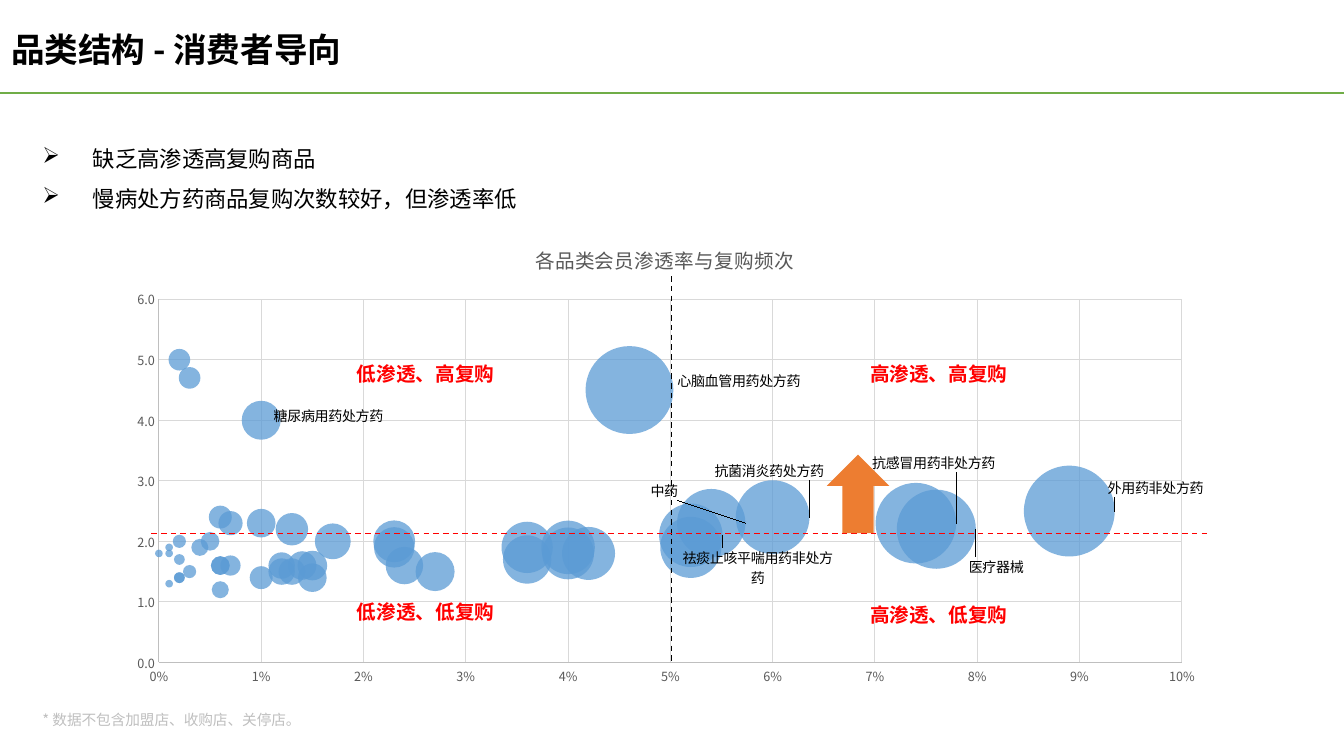
from dataclasses import dataclass
from typing import Any, NamedTuple

from lxml import etree
from pptx import Presentation
from pptx import util as u
from pptx.chart import data as chart_data
from pptx.chart import datalabel
from pptx.dml.color import RGBColor
from pptx.enum import chart as ch, dml, shapes, text
from pptx.oxml import ns


@dataclass(frozen=True)
class Theme:
    font: str = "Noto Sans CJK SC"
    black: str = "000000"
    green: str = "70AD47"
    red: str = "FF0000"
    orange: str = "ED7D31"
    blue: str = "5B9BD5"
    axis_text: str = "595959"
    axis_line: str = "BFBFBF"
    grid: str = "D9D9D9"
    title: float = 24
    body: float = 16
    heading: float = 14
    note: float = 10.5
    label: float = 10
    tick: float = 9


class Box(NamedTuple):
    left: float
    top: float
    width: float
    height: float


class Caption(NamedTuple):
    lines: list[str]
    box: Box
    size: float
    color: str
    bold: bool = False
    wrap: bool = False
    spacing: float = 1.0
    bullet: str = ""


class Rule(NamedTuple):
    start: tuple[float, float]
    end: tuple[float, float]
    color: str
    width: float
    dashed: bool = False


class Callout(NamedTuple):
    point: int
    name: str
    dx: float  # shift as a share of the chart size
    dy: float


THEME = Theme()

# Per category: penetration in per mille, repurchases, members in 100,000s
PENETRATION = [12, 54, 15, 40, 42, 14, 6, 0, 6, 0, 76, 36, 89, 6, 15, 46, 0, 6, 74,
               2, 10, 60, 0, 24, 7, 3, 10, 1, 3, 0, 27, 12, 52, 2, 0, 1, 2, 13, 52,
               2, 0, 10, 0, 4, 36, 7, 1, 23, 40, 0, 2, 5, 23, 17, 13]
REPURCHASES = [1.5, 2.3, 1.4, 1.8, 1.8, 1.6, 1.2, 1.1, 2.4, 1.5, 2.2, 1.7, 2.5, 1.6,
               1.6, 4.5, 1.8, 1.6, 2.3, 1.7, 1.4, 2.4, 1.2, 1.6, 1.6, 1.5, 2.3, 1.3,
               4.7, 1.2, 1.5, 1.6, 1.9, 2, 2.5, 1.8, 1.4, 2.2, 2.1, 5, 2.2, 4, 2.1,
               1.9, 1.9, 2.3, 1.9, 2, 1.9, 1.3, 1.4, 2, 1.9, 2, 1.5]
MEMBERS = [12, 80, 14, 46, 48, 14, 5, 0, 9, 0, 107, 40, 141, 6, 15, 132, 1, 6, 111,
           2, 9, 93, 0, 24, 7, 3, 14, 1, 8, 0, 26, 12, 64, 3, 0, 1, 2, 18, 69,
           8, 0, 26, 0, 5, 45, 10, 1, 30, 49, 0, 2, 6, 28, 22, 12]

CALLOUTS = [
    Callout(1, "中药", -0.09, -0.07),
    Callout(10, "医疗器械", -0.01, 0.08),
    Callout(12, "外用药非处方药", -0.01, -0.05),
    Callout(15, "心脑血管用药处方药", 0, -0.02),
    Callout(18, "抗感冒用药非处方药", -0.08, -0.13),
    Callout(21, "抗菌消炎药处方药", -0.09, -0.1),
    Callout(38, "祛痰止咳平喘用药非处方药", -0.04, 0.07),
    Callout(41, "糖尿病用药处方药", -0.01, -0.01),
]

CAPTIONS = [
    Caption(["品类结构 - 消费者导向"], Box(0.11, 0.33, 6.29, 0.36),
            THEME.title, THEME.black, bold=True, wrap=True, spacing=0.9),
    Caption(["缺乏高渗透高复购商品", "慢病处方药商品复购次数较好，但渗透率低"],
            Box(0.42, 1.3, 12.47, 0.81), THEME.body, THEME.black,
            wrap=True, spacing=1.5, bullet="➢"),
    Caption(["* 数据不包含加盟店、收购店、关停店。"], Box(0.42, 7.07, 2.61, 0.16),
            THEME.note, THEME.axis_line, spacing=0.9),
]
QUADRANTS = [("低渗透、高复购", 3.54, 3.59), ("高渗透、高复购", 8.63, 3.59),
             ("低渗透、低复购", 3.54, 5.95), ("高渗透、低复购", 8.63, 5.98)]
HEADER_RULE = Rule((0, 0.92), (13.33, 0.92), THEME.green, 1.5)
THRESHOLDS = [Rule((6.66, 2.74), (6.66, 6.56), THEME.black, 1, True),
              Rule((1.5, 5.29), (11.97, 5.29), THEME.red, 1, True)]
CHART_BOX = Box(1.14, 2.23, 10.91, 4.62)
PLOT_AREA = dict(x=0.04, y=0.16, w=0.93, h=0.78)  # shares of the chart size
ARROW_BOX = Box(8.2, 4.51, 0.62, 0.78)


def apply(target: Any, **values: Any) -> None:
    for name, value in values.items():
        setattr(target, name, value)


def inches(box: Box) -> list[u.Length]:
    return [u.Inches(length) for length in box]


def style_font(font: Any, size: float, color: str, bold: bool = False) -> None:
    apply(font, name=THEME.font, size=u.Pt(size), bold=bold)
    font.color.rgb = RGBColor.from_string(color)
    east_asian = etree.Element(ns.qn("a:ea"), typeface=THEME.font)
    font._rPr.find(ns.qn("a:latin")).addnext(east_asian)


def style_line(line: Any, color: str, width: float) -> None:
    line.color.rgb = RGBColor.from_string(color)
    line.width = u.Pt(width)


def add_caption(slide: Any, caption: Caption) -> None:
    frame = slide.shapes.add_textbox(*inches(caption.box)).text_frame
    apply(frame, margin_left=0, margin_right=0, margin_top=0, margin_bottom=0,
          word_wrap=caption.wrap, vertical_anchor=text.MSO_ANCHOR.MIDDLE)
    for index, line in enumerate(caption.lines):
        paragraph = frame.add_paragraph() if index else frame.paragraphs[0]
        paragraph.line_spacing = caption.spacing
        run = paragraph.add_run()
        run.text = line
        style_font(run.font, caption.size, caption.color, caption.bold)
        if caption.bullet:
            properties = paragraph._p.get_or_add_pPr()
            indent = u.Inches(0.5)
            properties.set("marL", str(indent))
            properties.set("indent", str(-indent))
            etree.SubElement(properties, ns.qn("a:buChar"), char=caption.bullet)


def add_rule(slide: Any, rule: Rule) -> None:
    ends = [u.Inches(length) for length in rule.start + rule.end]
    connector = slide.shapes.add_connector(shapes.MSO_CONNECTOR.STRAIGHT, *ends)
    style_line(connector.line, rule.color, rule.width)
    if rule.dashed:
        connector.line.dash_style = dml.MSO_LINE.DASH
    etree.SubElement(connector._element.spPr, ns.qn("a:effectLst"))


def manual_layout(**values: Any) -> Any:
    layout = etree.Element(ns.qn("c:layout"))
    manual = etree.SubElement(layout, ns.qn("c:manualLayout"))
    for name, value in values.items():
        etree.SubElement(manual, ns.qn(f"c:{name}"), val=str(value))
    return layout


def add_bubble_chart(slide: Any) -> None:
    data = chart_data.BubbleChartData()
    categories = data.add_series("Series 1")
    for share, repeats, members in zip(PENETRATION, REPURCHASES, MEMBERS):
        categories.add_data_point(share / 1000, repeats, members * 100000)
    chart = slide.shapes.add_chart(ch.XL_CHART_TYPE.BUBBLE, *inches(CHART_BOX), data).chart
    chart.has_legend = False
    style_font(chart.font, THEME.label, THEME.black)
    # Title and plot area
    heading = chart.chart_title.text_frame.paragraphs[0].add_run()
    heading.text = "各品类会员渗透率与复购频次"
    style_font(heading.font, THEME.heading, THEME.axis_text)
    plot_area = chart._chartSpace.chart.plotArea
    for layout in plot_area.findall(ns.qn("c:layout")):
        plot_area.remove(layout)
    plot_area.insert(0, manual_layout(layoutTarget="inner", xMode="edge", yMode="edge", **PLOT_AREA))
    # Axes
    for axis, top, step, number_format in ((chart.category_axis, 0.1, 0.01, "0%"),
                                           (chart.value_axis, 6, 1, "0.0")):
        apply(axis, minimum_scale=0, maximum_scale=top, major_unit=step,
              has_major_gridlines=True, major_tick_mark=ch.XL_TICK_MARK.NONE,
              minor_tick_mark=ch.XL_TICK_MARK.NONE)
        apply(axis.tick_labels, number_format=number_format, number_format_is_linked=False)
        style_font(axis.tick_labels.font, THEME.tick, THEME.axis_text)
        style_line(axis.format.line, THEME.axis_line, 0.75)
        style_line(axis.major_gridlines.format.line, THEME.grid, 0.75)
    # Translucent bubbles
    bubbles = chart.plots[0].series[0]
    bubbles.format.fill.solid()
    bubbles.format.fill.fore_color.rgb = RGBColor.from_string(THEME.blue)
    bubbles.format.line.fill.background()
    color = bubbles._element.spPr.find(".//" + ns.qn("a:srgbClr"))
    etree.SubElement(color, ns.qn("a:alpha"), val="75000")
    # Names beside the largest categories
    datalabel.DataLabels(bubbles._element.get_or_add_dLbls()).show_value = False
    for callout in CALLOUTS:
        label = bubbles.points[callout.point].data_label
        run = label.text_frame.paragraphs[0].add_run()
        run.text = callout.name
        style_font(run.font, THEME.label, THEME.black)
        label.position = ch.XL_LABEL_POSITION.RIGHT
        label._dLbl.find(ns.qn("c:idx")).addnext(manual_layout(x=callout.dx, y=callout.dy))


def add_arrow(slide: Any) -> None:
    arrow = slide.shapes.add_shape(shapes.MSO_SHAPE.UP_ARROW, *inches(ARROW_BOX))
    arrow.shadow.inherit = False
    arrow.fill.solid()
    arrow.fill.fore_color.rgb = RGBColor.from_string(THEME.orange)
    arrow.line.fill.background()


def main() -> None:
    deck = Presentation()
    apply(deck, slide_width=u.Inches(13.33), slide_height=u.Inches(7.5))
    slide = deck.slides.add_slide(deck.slide_layouts[6])
    add_rule(slide, HEADER_RULE)
    for caption in CAPTIONS:
        add_caption(slide, caption)
    add_bubble_chart(slide)
    for rule in THRESHOLDS:
        add_rule(slide, rule)
    for name, left, top in QUADRANTS:
        add_caption(slide, Caption([name], Box(left, top, 1.37, 0.24),
                                   THEME.heading, THEME.red, bold=True))
    add_arrow(slide)
    deck.save("out.pptx")


if __name__ == "__main__":
    main()
